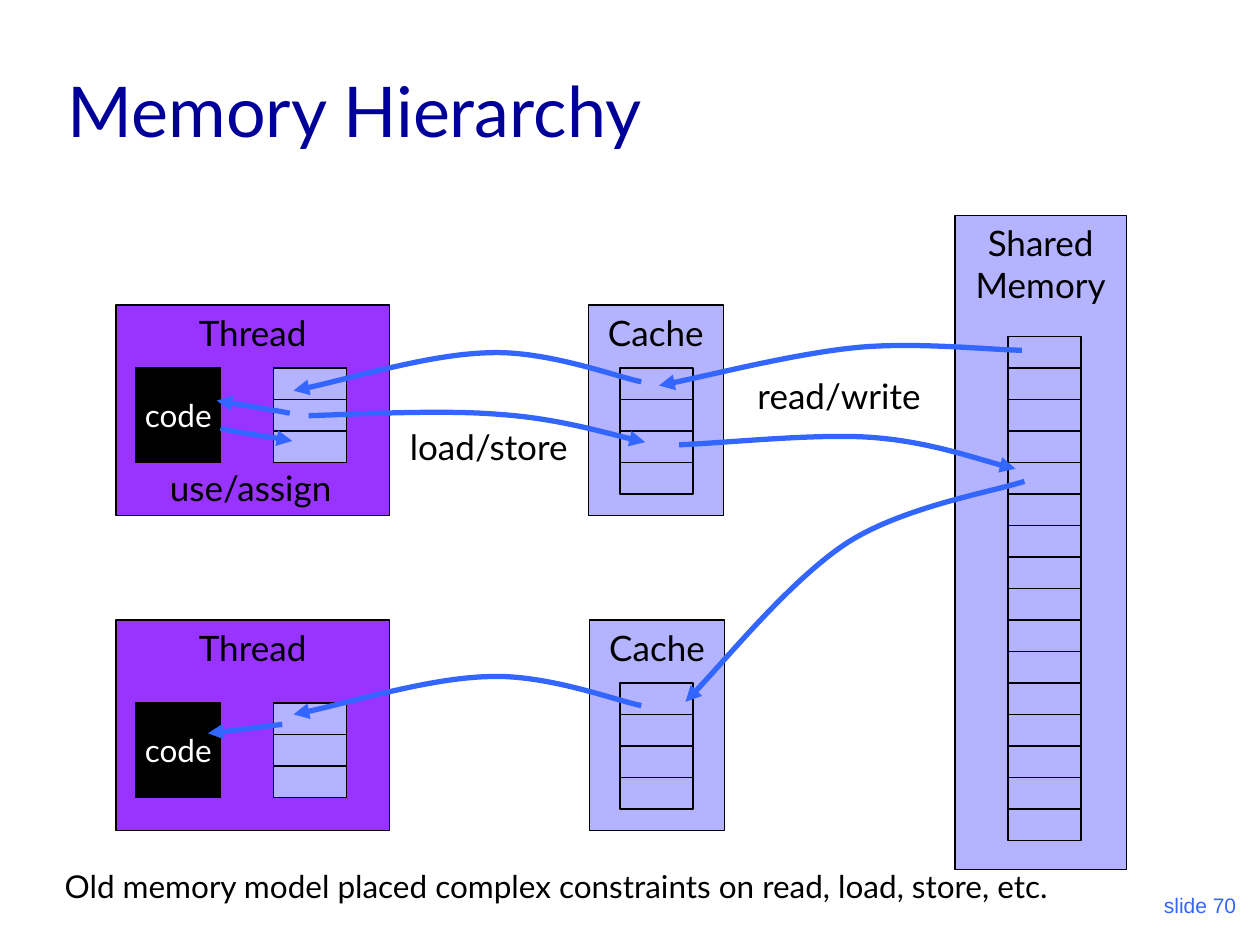
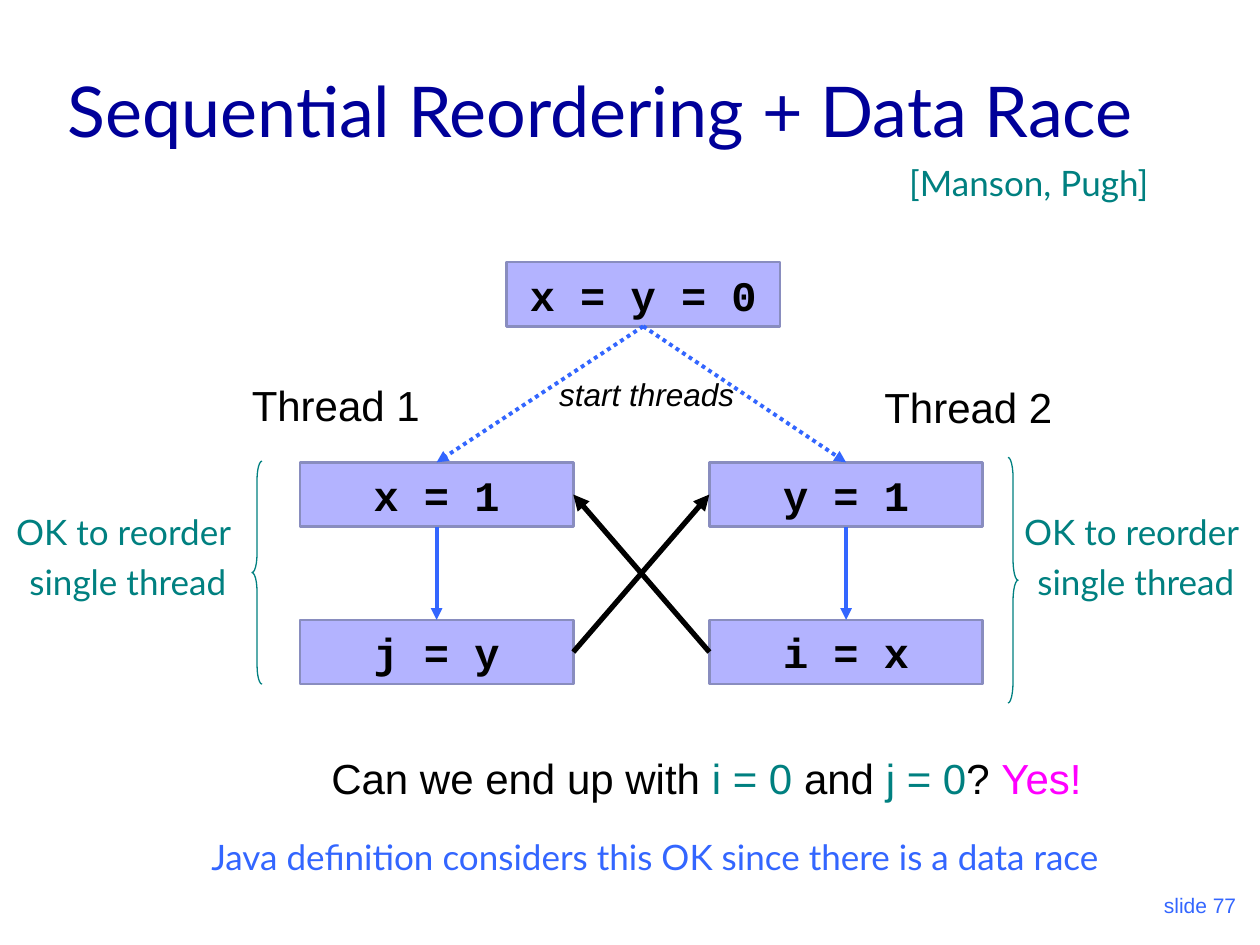
"""Builds two slides on the memory hierarchy and sequential reordering."""
import pptx
import pptx.dml.color
import pptx.enum.dml
import pptx.enum.shapes
import pptx.enum.text
import pptx.oxml.ns
import pptx.util
from pptx.dml.color import RGBColor
from pptx.util import Inches

BLACK = RGBColor(0x00, 0x00, 0x00)
WHITE = RGBColor(0xFF, 0xFF, 0xFF)
NAVY = RGBColor(0x00, 0x00, 0x99)
BLUE = RGBColor(0x33, 0x66, 0xFF)
PURPLE = RGBColor(0x99, 0x33, 0xFF)
LAVENDER = RGBColor(0xB3, 0xB3, 0xFF)
SLATE = RGBColor(0x89, 0x8D, 0xBF)
TEAL = RGBColor(0x00, 0x80, 0x80)
MAGENTA = RGBColor(0xFF, 0x00, 0xFF)

SHAPE = pptx.enum.shapes.MSO_SHAPE
STRAIGHT = pptx.enum.shapes.MSO_CONNECTOR.STRAIGHT
DOTTED = pptx.enum.dml.MSO_LINE.ROUND_DOT
ALIGN = pptx.enum.text.PP_ALIGN
ANCHOR = pptx.enum.text.MSO_ANCHOR
TOP, LEFT, BOTTOM, RIGHT = range(4)


def write(slide, text, place, size=20, font="Lato", color=BLACK, bold=False, italic=False,
          align=ALIGN.CENTER, anchor=ANCHOR.TOP, wrap=False, fill=None, line=None, weight=0.75):
    """Adds a box whose text is a string or a list of paragraphs of (text, color) spans."""
    place = [Inches(value) for value in place]
    if fill is None:
        box = slide.shapes.add_textbox(*place)
    else:
        box = slide.shapes.add_shape(SHAPE.RECTANGLE, *place)
        box.shadow.inherit = False
        box.fill.solid()
        box.fill.fore_color.rgb = fill
        if line is None:
            box.line.fill.background()
        else:
            box.line.color.rgb = line
            box.line.width = pptx.util.Pt(weight)
    frame = box.text_frame
    frame.word_wrap = wrap
    frame.vertical_anchor = anchor
    paragraphs = [[(text, color)]] if isinstance(text, str) else text
    for index, spans in enumerate(paragraphs):
        para = frame.add_paragraph() if index else frame.paragraphs[0]
        para.alignment = align
        if index:
            para.space_before = pptx.util.Pt(size / 4)
        for words, span_color in spans:
            if words:
                span = para.add_run()
                span.text = words
                span.font.name = font
                span.font.size = pptx.util.Pt(size)
                span.font.bold = bold
                span.font.italic = italic
                span.font.color.rgb = span_color
    return box


def make_arrow(stroke, color, weight, dash=None):
    """Colours a connector or curve and puts a triangle at its end."""
    stroke.line.color.rgb = color
    stroke.line.width = pptx.util.Pt(weight)
    if dash is not None:
        stroke.line.dash_style = dash
    properties = stroke._element.spPr
    outline = properties.find(pptx.oxml.ns.qn("a:ln"))
    outline.append(outline.makeelement(pptx.oxml.ns.qn("a:tailEnd"), {"type": "triangle"}))
    properties.append(properties.makeelement(pptx.oxml.ns.qn("a:effectLst"), {}))


deck = pptx.Presentation()
deck.slide_width = Inches(10)
deck.slide_height = Inches(7.5)
slides = []
for title, number in [("Memory Hierarchy", 70), ("Sequential Reordering + Data Race", 77)]:
    slide = deck.slides.add_slide(deck.slide_layouts[6])
    write(slide, f"slide {number}", (7.83, 6.83, 2.08, 0.5), size=12, font="Arial", color=BLUE,
          align=ALIGN.RIGHT, anchor=ANCHOR.BOTTOM, wrap=True)
    write(slide, title, (0.44, 0.25, 9.06, 1), size=40, color=NAVY, align=ALIGN.LEFT,
          anchor=ANCHOR.BOTTOM, wrap=True)
    slides.append(slide)
hierarchy, reordering = slides

for top, code_top, cache_left in [(2.42, 2.92, 4.67), (4.92, 5.58, 4.68)]:
    write(hierarchy, "Thread", (0.92, top, 2.17, 1.67), fill=PURPLE, line=BLACK)
    write(hierarchy, "Cache", (cache_left, top, 1.07, 1.67), fill=LAVENDER, line=BLACK)
    write(hierarchy, "code", (1.08, code_top, 0.67, 0.75), size=18, color=WHITE,
          anchor=ANCHOR.MIDDLE, fill=BLACK, line=BLACK)
write(hierarchy, "Shared Memory", (7.58, 1.71, 1.36, 5.19), wrap=True, fill=LAVENDER, line=BLACK)

for left, top, cells in [(2.17, 2.92, 3), (2.17, 5.58, 3), (4.92, 2.92, 4),
                         (4.92, 5.42, 4), (8, 2.67, 16)]:
    for row in range(cells):
        write(hierarchy, "", (left, top + row * 0.25, 0.58, 0.25), fill=LAVENDER, line=BLACK)

cache_to_thread = [(5.09, 3.03), (4.89, 2.99), (4.34, 2.78), (3.88, 2.8),
                   (3.42, 2.81), (2.66, 3.04), (2.33, 3.1)]
curves = [
    [(8.11, 2.78), (7.89, 2.78), (7.26, 2.71), (6.78, 2.76), (6.3, 2.81), (5.55, 3), (5.23, 3.06)],
    cache_to_thread,
    [(x, y + 2.57) for x, y in cache_to_thread],
    [(2.45, 3.3), (2.77, 3.29), (3.52, 3.25), (3.97, 3.29), (4.41, 3.32), (4.93, 3.47), (5.12, 3.51)],
    [(5.39, 3.53), (5.7, 3.52), (6.46, 3.44), (6.9, 3.47), (7.35, 3.5), (7.87, 3.68), (8.06, 3.72)],
    [(8.13, 3.82), (7.89, 3.9), (7.17, 4.02), (6.72, 4.31), (6.28, 4.6), (5.7, 5.31), (5.44, 5.57)],
    [(2.3, 3.28), (2.2, 3.26), (1.84, 3.2), (1.72, 3.18)],
    [(1.75, 3.4), (1.87, 3.43), (2.23, 3.48), (2.32, 3.5)],
    [(2.24, 5.75), (2.14, 5.76), (1.77, 5.81), (1.65, 5.82)],
]
for curve in curves:
    start, *controls = [(Inches(x), Inches(y)) for x, y in curve]
    builder = hierarchy.shapes.build_freeform(*start)
    builder.add_line_segments(controls, close=False)
    stroke = builder.convert_to_shape()
    stroke.fill.background()
    outline = stroke._element.xpath(".//a:path")[0]
    segments = outline.findall(pptx.oxml.ns.qn("a:lnTo"))
    for first in range(0, len(segments), 3):
        bezier = outline.makeelement(pptx.oxml.ns.qn("a:cubicBezTo"), {})
        outline.append(bezier)
        for segment in segments[first:first + 3]:
            bezier.append(segment[0])
            outline.remove(segment)
    make_arrow(stroke, BLUE, 3)

for label, place in [("use/assign", (1.19, 3.65, 1.6, 0.44)),
                     ("load/store", (3.11, 3.33, 1.54, 0.44)),
                     ("read/write", (5.88, 2.92, 1.56, 0.44))]:
    write(hierarchy, label, place)
write(hierarchy, "Old memory model placed complex constraints on read, load, store, etc.",
      (0.09, 6.83, 8.65, 0.4), size=18)

statements = {}
for code, left, top in [("x = y = 0", 4.02, 2.08), ("x = 1", 2.38, 3.67), ("j = y", 2.38, 4.92),
                        ("y = 1", 5.63, 3.67), ("i = x", 5.63, 4.92)]:
    statements[code] = write(reordering, code, (left, top, 2.17, 0.51), size=24,
                             font="Courier New", bold=True, anchor=ANCHOR.MIDDLE,
                             fill=LAVENDER, line=SLATE, weight=1.5)

for source, source_side, target, target_side, color, weight, dash in [
        ("x = y = 0", BOTTOM, "x = 1", TOP, BLUE, 2.25, DOTTED),
        ("x = y = 0", BOTTOM, "y = 1", TOP, BLUE, 2.25, DOTTED),
        ("x = 1", BOTTOM, "j = y", TOP, BLUE, 2.25, None),
        ("y = 1", BOTTOM, "i = x", TOP, BLUE, 2.25, None),
        ("i = x", LEFT, "x = 1", RIGHT, BLACK, 3, None),
        ("j = y", RIGHT, "y = 1", LEFT, BLACK, 3, None)]:
    link = reordering.shapes.add_connector(STRAIGHT, 0, 0, 0, 0)
    link.begin_connect(statements[source], source_side)
    link.end_connect(statements[target], target_side)
    make_arrow(link, color, weight, dash)

for kind, left, top, height in [(SHAPE.LEFT_BRACE, 2, 3.66, 1.77),
                                (SHAPE.RIGHT_BRACE, 8, 3.63, 1.95)]:
    brace = reordering.shapes.add_shape(kind, Inches(left), Inches(top), Inches(0.08), Inches(height))
    brace.adjustments[0] = height / 12 / 0.08
    brace.shadow.inherit = False
    brace.fill.background()
    brace.line.color.rgb = TEAL
    brace.line.width = pptx.util.Pt(0.75)

for left in (-0.02, 7.98):
    write(reordering, [[("OK to reorder ", TEAL)], [("single thread", TEAL)]], (left, 4, 2.07, 0.84))
for label, left, top in [("Thread 1", 1.9, 2.96), ("Thread 2", 6.92, 2.98)]:
    write(reordering, label, (left, top, 1.7, 0.5), size=24, font="Arial", align=ALIGN.LEFT,
          wrap=True)
write(reordering, "start threads", (4.34, 2.93, 1.7, 0.4), size=18, font="Arial", italic=True,
      align=ALIGN.LEFT, wrap=True)
write(reordering, "[Manson, Pugh]", (7.03, 1.23, 2.27, 0.44), color=TEAL, fill=WHITE)
write(reordering, [[(" Can we end up with ", BLACK), ("i = 0", TEAL), (" and ", BLACK),
                    ("j = 0", TEAL), ("? ", BLACK), ("Yes!", MAGENTA)]],
      (2.42, 5.92, 6.28, 0.5), size=24, font="Arial")
write(reordering, "Java definition considers this OK since there is a data race",
      (1.35, 6.58, 7.7, 0.44), color=BLUE)

deck.save("out.pptx")
